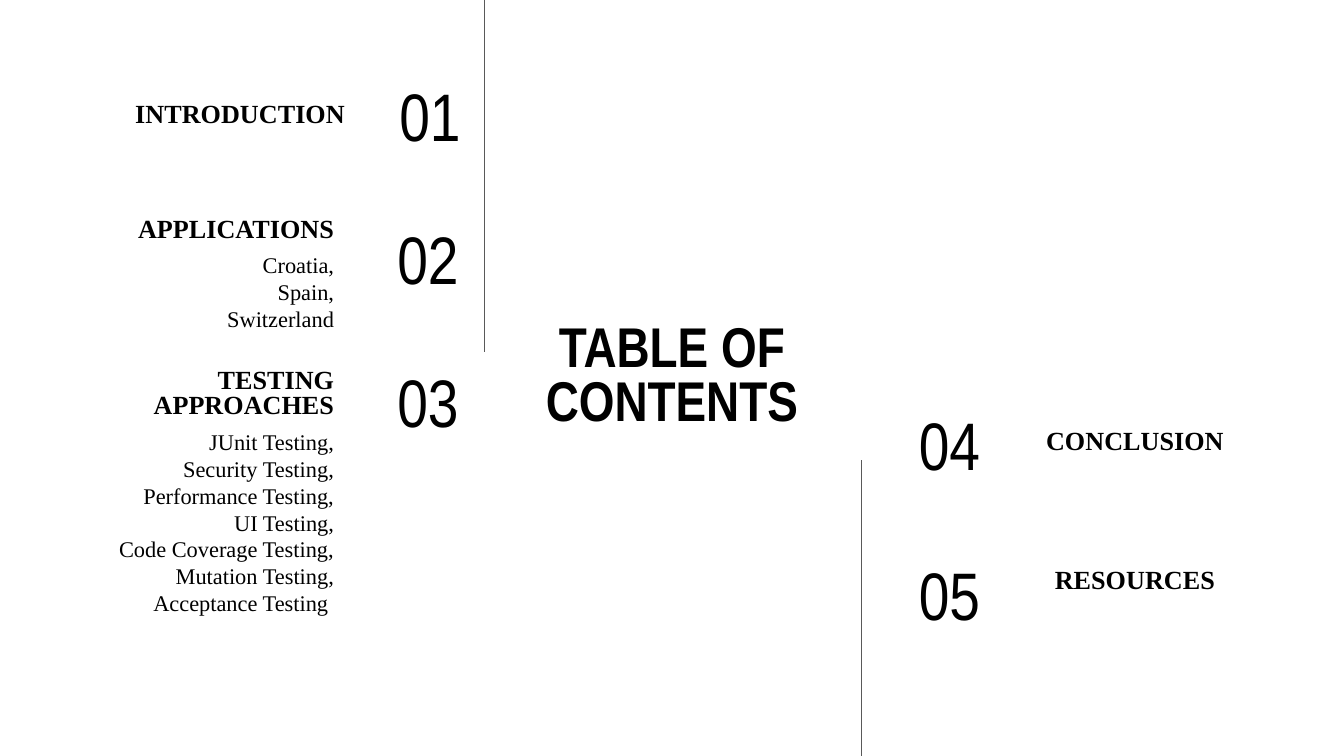
from dataclasses import dataclass

from lxml import etree
from pptx import Presentation
from pptx import util as u
from pptx.dml.color import RGBColor
from pptx.enum import shapes, text
from pptx.oxml.ns import qn

COLUMNS, ROWS = 100, 56.25
CELL = u.Inches(0.1)


@dataclass(frozen=True)
class Style:
    font: str
    size: int
    bold: bool
    spacing: float
    anchor: text.MSO_ANCHOR


@dataclass(frozen=True)
class Theme:
    ink: RGBColor = RGBColor(0, 0, 0)
    rule: RGBColor = RGBColor(0x59, 0x59, 0x59)
    rule_width: float = 0.75
    title: Style = Style("Arial Narrow", 30, True, 0.8, text.MSO_ANCHOR.MIDDLE)
    number: Style = Style("Arial Narrow", 36, False, 0.8, text.MSO_ANCHOR.MIDDLE)
    heading: Style = Style("Times New Roman", 14, True, 0.8, text.MSO_ANCHOR.BOTTOM)
    details: Style = Style("Times New Roman", 12, False, 1.0, text.MSO_ANCHOR.TOP)


@dataclass(frozen=True)
class Area:
    """A block of grid cells."""
    column: float
    row: float
    columns: float
    rows: float


@dataclass(frozen=True)
class Section:
    number: str
    number_area: Area
    heading: str
    heading_area: Area
    align: text.PP_ALIGN
    details: tuple[str, ...] = ()
    details_area: Area | None = None


THEME = Theme()
RIGHT, CENTER = text.PP_ALIGN.RIGHT, text.PP_ALIGN.CENTER

SECTIONS = (
    Section("01", Area(28.55, 5.95, 6.7, 6.3),
            "INTRODUCTION", Area(5.05, 4.2, 21.6, 6.3), RIGHT),
    Section("02", Area(23, 16.6, 12.1, 6.3),
            "APPLICATIONS", Area(4.25, 15.55, 21.6, 3.5), RIGHT,
            ("Croatia,", "Spain,", "Switzerland"), Area(7.55, 17.7, 18.3, 6.3)),
    Section("03", Area(23, 27.2, 12.1, 6.3),
            "TESTING APPROACHES", Area(4.25, 25.9, 21.6, 6.3), RIGHT,
            ("JUnit Testing,", "Security Testing,", "Performance Testing,",
             "UI Testing,", "Code Coverage Testing,", "Mutation Testing,",
             "Acceptance Testing "), Area(7.55, 30.85, 18.3, 22.2)),
    Section("04", Area(64.8, 30.4, 11.7, 6.3),
            "CONCLUSION", Area(73.65, 28.55, 21.6, 6.3), CENTER),
    Section("05", Area(64.8, 41.55, 11.7, 6.3),
            "RESOURCES", Area(73.65, 38.9, 21.6, 6.3), CENTER),
)


def cells(count: float) -> u.Emu:
    return u.Emu(round(count * CELL))


def add_text(page, area: Area, lines: tuple[str, ...], style: Style,
             align: text.PP_ALIGN) -> None:
    box = page.shapes.add_textbox(cells(area.column), cells(area.row),
                                  cells(area.columns), cells(area.rows))
    frame = box.text_frame
    frame.word_wrap = True
    frame.vertical_anchor = style.anchor
    frame.margin_left = frame.margin_right = cells(1)
    frame.margin_top = frame.margin_bottom = cells(1)
    frame.text = "\n".join(lines)
    for para in frame.paragraphs:
        para.alignment = align
        para.line_spacing = style.spacing
        for span in para.runs:
            span.font.name = style.font
            span.font.size = u.Pt(style.size)
            span.font.bold = style.bold
            span.font.color.rgb = THEME.ink


def add_rule(page, column: float, top: float, bottom: float) -> None:
    rule = page.shapes.add_connector(shapes.MSO_CONNECTOR.STRAIGHT,
                                     cells(column), cells(top),
                                     cells(column), cells(bottom))
    rule.line.color.rgb = THEME.rule
    rule.line.width = u.Pt(THEME.rule_width)
    etree.SubElement(rule._element.spPr, qn("a:effectLst"))


def add_section(page, section: Section) -> None:
    add_text(page, section.number_area, (section.number,), THEME.number, section.align)
    add_text(page, section.heading_area, (section.heading,), THEME.heading, section.align)
    if section.details_area:
        add_text(page, section.details_area, section.details, THEME.details, section.align)


def main() -> None:
    deck = Presentation()
    deck.slide_width, deck.slide_height = cells(COLUMNS), cells(ROWS)
    page = deck.slides.add_slide(deck.slide_layouts[6])
    add_text(page, Area(37.05, 23, 25.9, 10.3), ("TABLE OF CONTENTS",), THEME.title, CENTER)
    add_rule(page, 36.05, 0, 26.2)
    add_rule(page, 64.1, 34.25, ROWS)
    for section in SECTIONS:
        add_section(page, section)
    deck.save("out.pptx")


if __name__ == "__main__":
    main()
